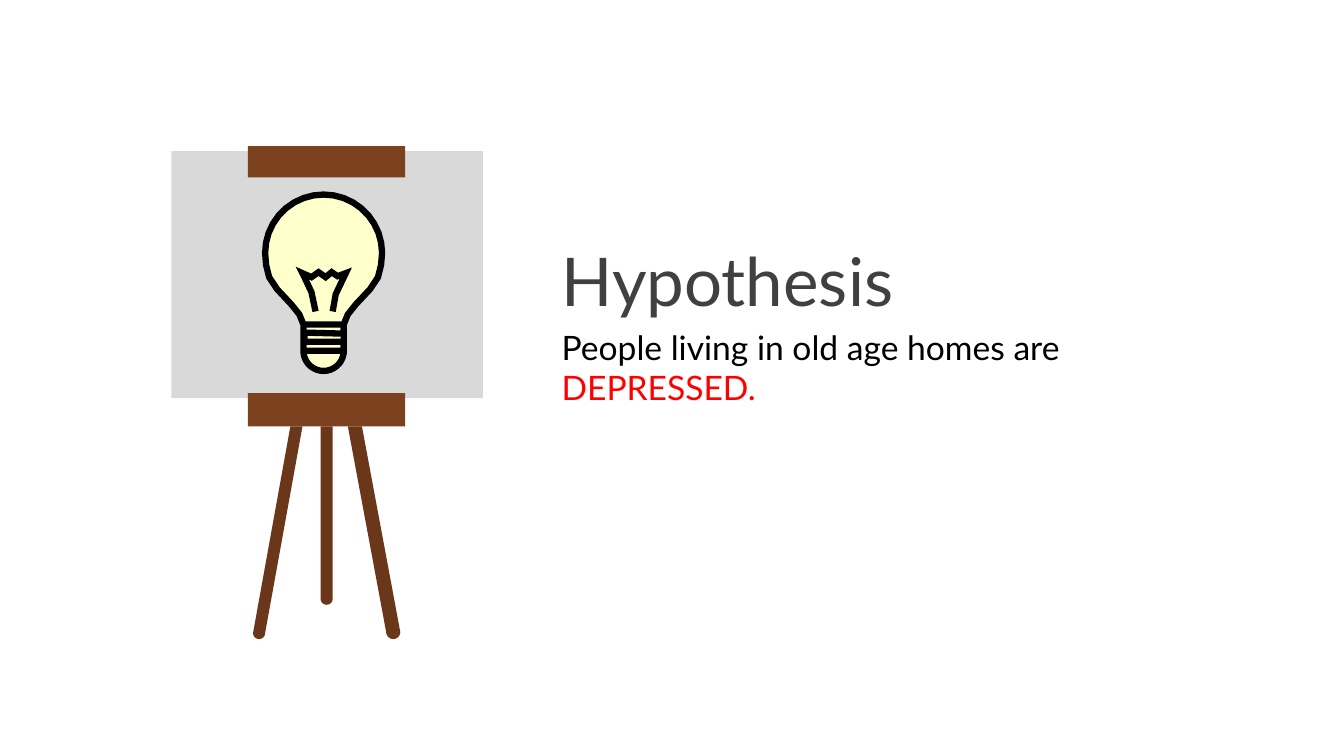
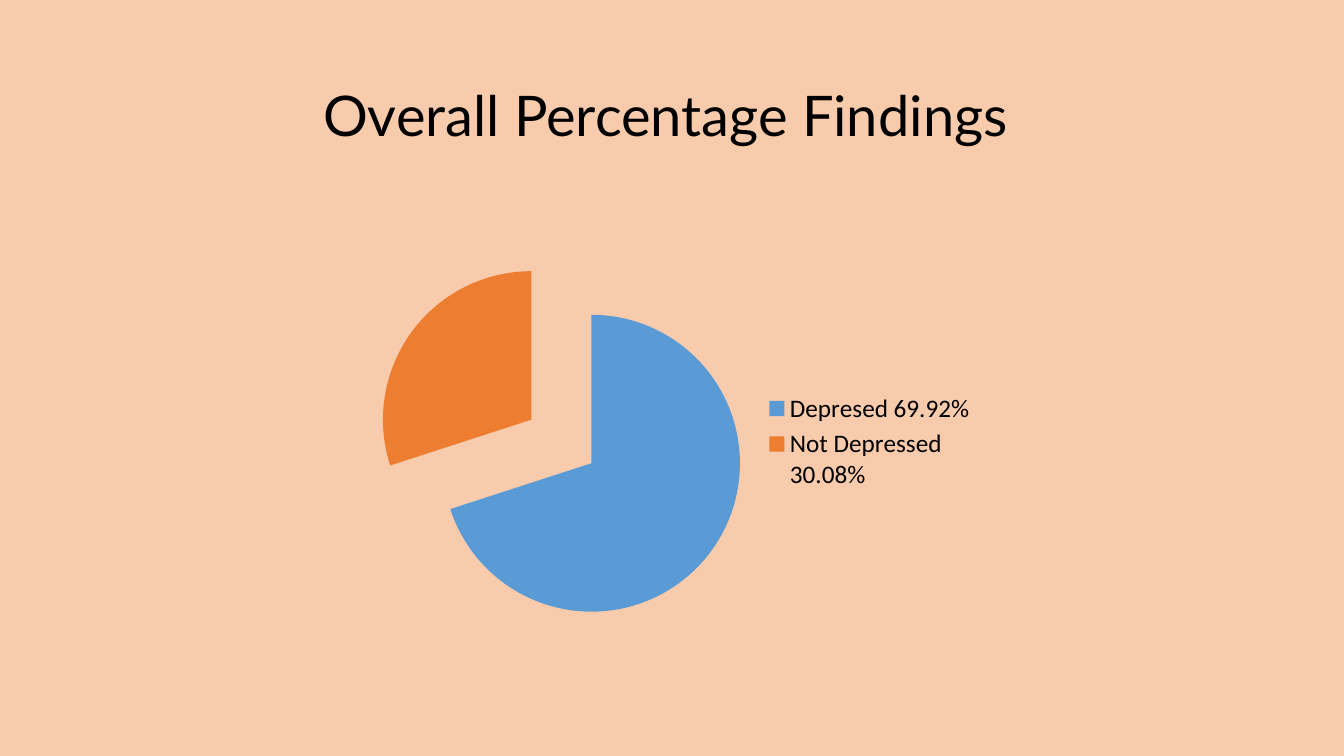
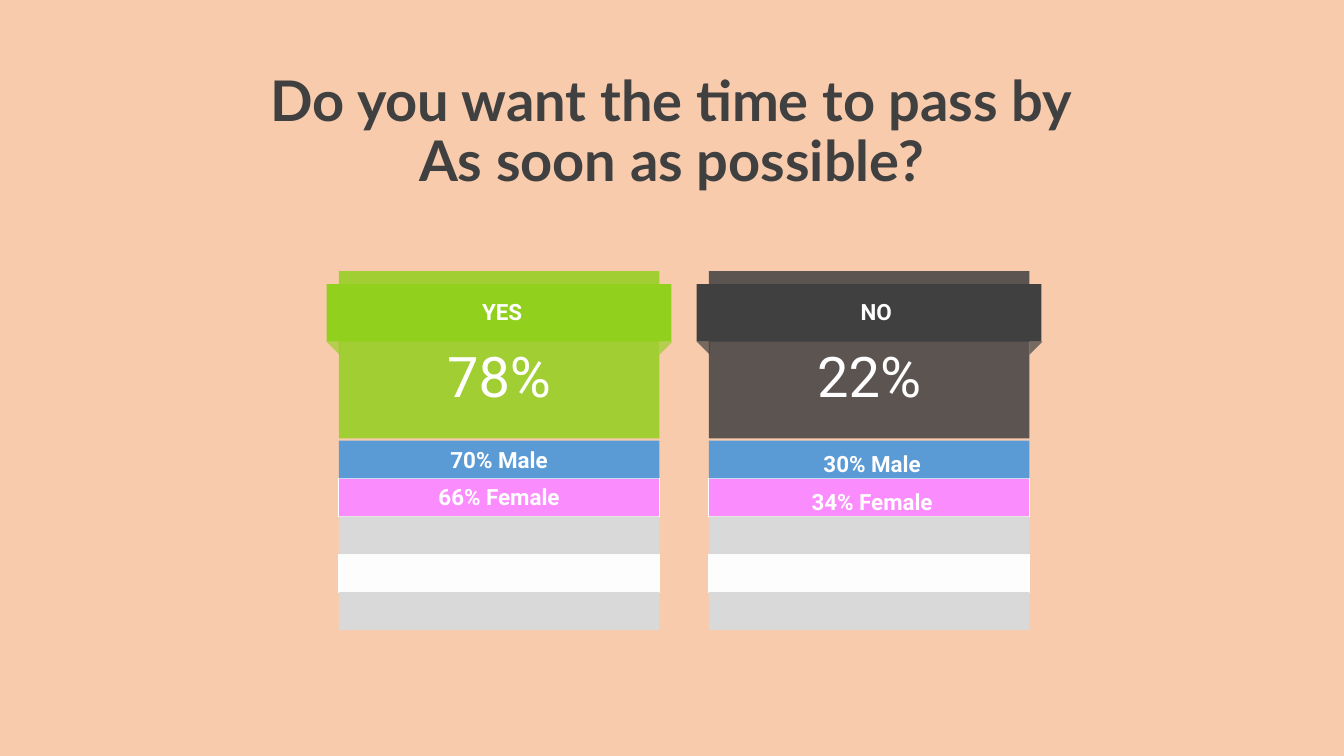
"""Build three slides on depression in old age homes."""
from math import cos, radians, sin

from lxml import etree
from pptx import Presentation
from pptx.chart.data import CategoryChartData
from pptx.dml.color import RGBColor
from pptx.enum.chart import XL_CHART_TYPE, XL_LEGEND_POSITION
from pptx.enum.shapes import MSO_SHAPE
from pptx.enum.text import MSO_ANCHOR, PP_ALIGN
from pptx.oxml.ns import qn
from pptx.util import Inches, Pt

RECTANGLE, TRIANGLE = MSO_SHAPE.RECTANGLE, MSO_SHAPE.RIGHT_TRIANGLE
LEFT, CENTER = PP_ALIGN.LEFT, PP_ALIGN.CENTER
TOP, MIDDLE = MSO_ANCHOR.TOP, MSO_ANCHOR.MIDDLE
PIE, LEGEND_RIGHT = XL_CHART_TYPE.PIE, XL_LEGEND_POSITION.RIGHT

WHITE = RGBColor(0xFF, 0xFF, 0xFF)
BLACK = RGBColor(0, 0, 0)
RED = RGBColor(0xFF, 0, 0)
PEACH = RGBColor(0xF8, 0xCB, 0xAD)
CHARCOAL = RGBColor(0x40, 0x40, 0x40)
GRAY = RGBColor(0xD9, 0xD9, 0xD9)
NEAR_WHITE = RGBColor(0xFD, 0xFD, 0xFD)
WOOD = RGBColor(0x7C, 0x41, 0x1E)
DARK_WOOD = RGBColor(0x6A, 0x37, 0x1A)
BULB_YELLOW = RGBColor(0xFF, 0xFF, 0xCC)
GREEN = RGBColor(0x92, 0xD0, 0x1E)
BLUE = RGBColor(0x5B, 0x9B, 0xD5)
ORANGE = RGBColor(0xED, 0x7D, 0x31)
PINK = RGBColor(0xFB, 0x8C, 0xFE)

TITLE_FONT, LABEL_FONT = "Lato", "Roboto"

HYPOTHESIS = [("People living in old age homes are ", BLACK), ("DEPRESSED.", RED)]
QUESTION = ["Do you want the time to pass by", "As soon as possible?"]
FINDINGS = [("Depresed 69.92%", 70, BLUE), ("Not Depressed 30.08%", 30, ORANGE)]

EASEL_BOARDS = [
    ((1.7, 1.5, 3.09, 2.45), GRAY),
    ((2.46, 1.45, 1.56, 0.31), WOOD),
    ((2.46, 3.9, 1.56, 0.33), WOOD),
]
LEG_TOP = 4.23
EASEL_LEGS = [
    (3.45, 3.59, (3.9, 6.27), 0.07),
    (2.88, 3.0, (2.57, 6.28), 0.06),
    (3.18, 3.3, (3.24, 5.94), 0.06),
]

BULB_X, GLASS_Y, GLASS_RADIUS = 3.21, 2.51, 0.58
BASE_Y, BASE_RADIUS = 3.48, 0.2
NECK = [(0.57, 2.63), (0.54, 2.75), (0.46, 2.87), (0.32, 3.02), (0.24, 3.12), (0.2, 3.22)]
FILAMENT = [
    (3.13, 3.09), (3.09, 2.9), (3.02, 2.75), (3, 2.71), (3.09, 2.75), (3.16, 2.7),
    (3.23, 2.75), (3.29, 2.7), (3.35, 2.74), (3.43, 2.71), (3.33, 2.92), (3.3, 3.09),
]
THREAD = [
    (3.02, 3.22), (3.41, 3.22), (3.41, 3.31), (3.02, 3.3),
    (3.02, 3.39), (3.41, 3.39), (3.41, 3.48), (3.02, 3.48),
]

PANEL_LEFT, PANEL_STEP, PANEL_WIDTH = 3.36, 3.67, 3.18
RIBBON_OVERHANG, RIBBON_TOP, RIBBON_HEIGHT = 0.12, 2.82, 0.57
FOLD = 0.13
ROWS_TOP, ROWS_BOTTOM = 4.37, 6.25
ROWS = [(BLUE, False), (PINK, True), (GRAY, False), (NEAR_WHITE, True), (GRAY, False)]
ANSWERS = [
    {"head": "YES", "share": "78%", "rows": ["70% Male", "66% Female"], "color": GREEN,
     "fold_alpha": 65, "head_shift": 0.03, "row_shift": (0, 0)},
    {"head": "NO", "share": "22%", "rows": ["30% Male", "34% Female"], "color": CHARCOAL,
     "fold_alpha": 70, "head_shift": 0.07, "row_shift": (0.03, 0.04)},
]


def inches(values):
    return [Inches(value) for value in values]


def new_page(deck, color):
    page = deck.slides.add_slide(deck.slide_layouts[6])
    page.background.fill.solid()
    page.background.fill.fore_color.rgb = color
    return page


def add_text(shapes, area, paragraphs, size, font=TITLE_FONT, bold=False, align=LEFT,
             anchor=TOP, insets=(0.1, 0.05), wrap=True, spacing=None):
    frame = shapes.add_textbox(*inches(area)).text_frame
    frame.word_wrap = wrap
    frame.vertical_anchor = anchor
    frame.margin_left = frame.margin_right = Inches(insets[0])
    frame.margin_top = frame.margin_bottom = Inches(insets[1])
    for index, spans in enumerate(paragraphs):
        para = frame.add_paragraph() if index else frame.paragraphs[0]
        para.alignment = align
        para.line_spacing = spacing
        for text, color in spans:
            span = para.add_run()
            span.text = text
            span.font.size = Pt(size)
            span.font.name = font
            span.font.bold = bold
            span.font.color.rgb = color


def add_label(shapes, center, size, text, points, bold=True):
    area = (center[0] - size[0] / 2, center[1] - size[1] / 2, *size)
    add_text(shapes, area, [[(text, WHITE)]], points, LABEL_FONT, bold, CENTER, wrap=False)


def paint(shape, color, alpha=100, line=None, line_width=0.5):
    shape.shadow.inherit = False
    if color is None:
        shape.fill.background()
    else:
        shape.fill.solid()
        shape.fill.fore_color.rgb = color
    if alpha < 100:
        tint = shape.fill._xPr.find(qn("a:solidFill"))[0]
        etree.SubElement(tint, qn("a:alpha"), val=str(alpha * 1000))
    if line is None:
        shape.line.fill.background()
    else:
        shape.line.color.rgb = line
        shape.line.width = Pt(line_width)
        etree.SubElement(shape.line._ln, qn("a:miter"), lim="800000")


def add_block(shapes, area, color, alpha=100, line=None, kind=RECTANGLE, turn=0):
    shape = shapes.add_shape(kind, *inches(area))
    shape.rotation = turn
    paint(shape, color, alpha, line)


def add_outline(shapes, contours, color, closed=True, line=None, line_width=0.5):
    contours = [[tuple(inches(point)) for point in contour] for contour in contours]
    builder = shapes.build_freeform(*contours[0][0], scale=1.0)
    for index, contour in enumerate(contours):
        if index:
            builder.move_to(*contour[0])
        builder.add_line_segments(contour[1:], close=closed)
    paint(builder.convert_to_shape(), color, line=line, line_width=line_width)


def arc(center, radius, start, stop, step=10):
    return [(center[0] + radius * cos(radians(angle)), center[1] + radius * sin(radians(angle)))
            for angle in range(start, stop + 1, step)]


def draw_easel(shapes):
    for left, right, foot, radius in EASEL_LEGS:
        leg = [(left, LEG_TOP), (right, LEG_TOP)] + arc(foot, radius, 0, 180)
        add_outline(shapes, [leg], DARK_WOOD)
    for area, color in EASEL_BOARDS:
        add_block(shapes, area, color)


def draw_bulb(shapes):
    right_neck = [(BULB_X + offset, y) for offset, y in NECK]
    left_neck = [(BULB_X - offset, y) for offset, y in reversed(NECK)]
    glass = (arc((BULB_X, GLASS_Y), GLASS_RADIUS, 180, 360) + right_neck
             + arc((BULB_X, BASE_Y), BASE_RADIUS, 0, 180) + left_neck)
    add_outline(shapes, [glass], BULB_YELLOW, line=BLACK, line_width=4.5)
    add_outline(shapes, [FILAMENT, THREAD], None, False, BLACK, 4.5)


def draw_panel(shapes, left, answer):
    color = answer["color"]
    middle = left + PANEL_WIDTH / 2
    row_height = (ROWS_BOTTOM - ROWS_TOP) / len(ROWS)
    outlined_first = sorted(enumerate(ROWS), key=lambda row: not row[1][1])
    for index, (row_color, outlined) in outlined_first:
        area = (left, ROWS_TOP + index * row_height, PANEL_WIDTH, row_height)
        add_block(shapes, area, row_color, line=WHITE if outlined else None)
    for top, height in [(2.69, 0.38), (3.08, 1.27)]:
        add_block(shapes, (left, top, PANEL_WIDTH, height), color, 85)
    add_label(shapes, (middle, 3.72), (1.33, 0.77), answer["share"], 40, bold=False)
    for fold_left, turn in [(left - RIBBON_OVERHANG, 180), (left + PANEL_WIDTH, 90)]:
        area = (fold_left, RIBBON_TOP + RIBBON_HEIGHT, FOLD, FOLD)
        add_block(shapes, area, color, answer["fold_alpha"], kind=TRIANGLE, turn=turn)
    ribbon_width = PANEL_WIDTH + 2 * RIBBON_OVERHANG
    add_block(shapes, (left - RIBBON_OVERHANG, RIBBON_TOP, ribbon_width, RIBBON_HEIGHT), color)
    add_label(shapes, (middle + answer["head_shift"], 3.09), (0.7, 0.37), answer["head"], 16)
    shift_x, shift_y = answer["row_shift"]
    for index, text in enumerate(answer["rows"]):
        center = (middle + shift_x, ROWS_TOP + (index + 0.5) * row_height + shift_y)
        add_label(shapes, center, (1.7, 0.37), text, 16)


def build_hypothesis(deck):
    page = new_page(deck, WHITE)
    add_text(page.shapes, (5.44, 3.17, 6.38, 2.59), [HYPOTHESIS], 24, insets=(0.13, 0.07))
    add_text(page.shapes, (5.57, 2.37, 4.41, 0.81), [[("Hypothesis", CHARCOAL)]], 48,
             insets=(0, 0))
    draw_easel(page.shapes.add_group_shape().shapes)
    draw_bulb(page.shapes)


def build_findings(deck):
    page = new_page(deck, PEACH)
    data = CategoryChartData()
    data.categories = [name for name, _, _ in FINDINGS]
    data.add_series("Series 1", [value for _, value, _ in FINDINGS])
    chart = page.shapes.add_chart(PIE, *inches((3.59, 2.38, 6.19, 4)), data).chart
    chart.has_title = False
    chart.has_legend = True
    chart.legend.position = LEGEND_RIGHT
    chart.legend.include_in_layout = False
    chart.font.size = Pt(18)
    chart.font.name = "Calibri"
    chart.font.color.rgb = BLACK
    plot = chart.plots[0]
    plot.vary_by_categories = True
    series = plot.series[0]
    explosion = etree.Element(qn("c:explosion"), val="25")
    series._element.find(qn("c:tx")).addnext(explosion)
    for index, (_, _, color) in enumerate(FINDINGS):
        fill = series.points[index].format.fill
        fill.solid()
        fill.fore_color.rgb = color
    add_text(page.shapes, (1.76, 0.75, 9.68, 0.77), [[("Overall Percentage Findings", BLACK)]],
             40, align=CENTER)


def build_answers(deck):
    page = new_page(deck, PEACH)
    add_text(page.shapes, (1.66, 0.98, 10, 0.69), [[(line, CHARCOAL)] for line in QUESTION],
             40, bold=True, align=CENTER, anchor=MIDDLE, spacing=0.9)
    for index, answer in enumerate(ANSWERS):
        panel = page.shapes.add_group_shape()
        draw_panel(panel.shapes, PANEL_LEFT + index * PANEL_STEP, answer)


def main():
    deck = Presentation()
    deck.slide_width, deck.slide_height = Inches(13.33), Inches(7.5)
    for build in (build_hypothesis, build_findings, build_answers):
        build(deck)
    deck.save("out.pptx")


if __name__ == "__main__":
    main()
